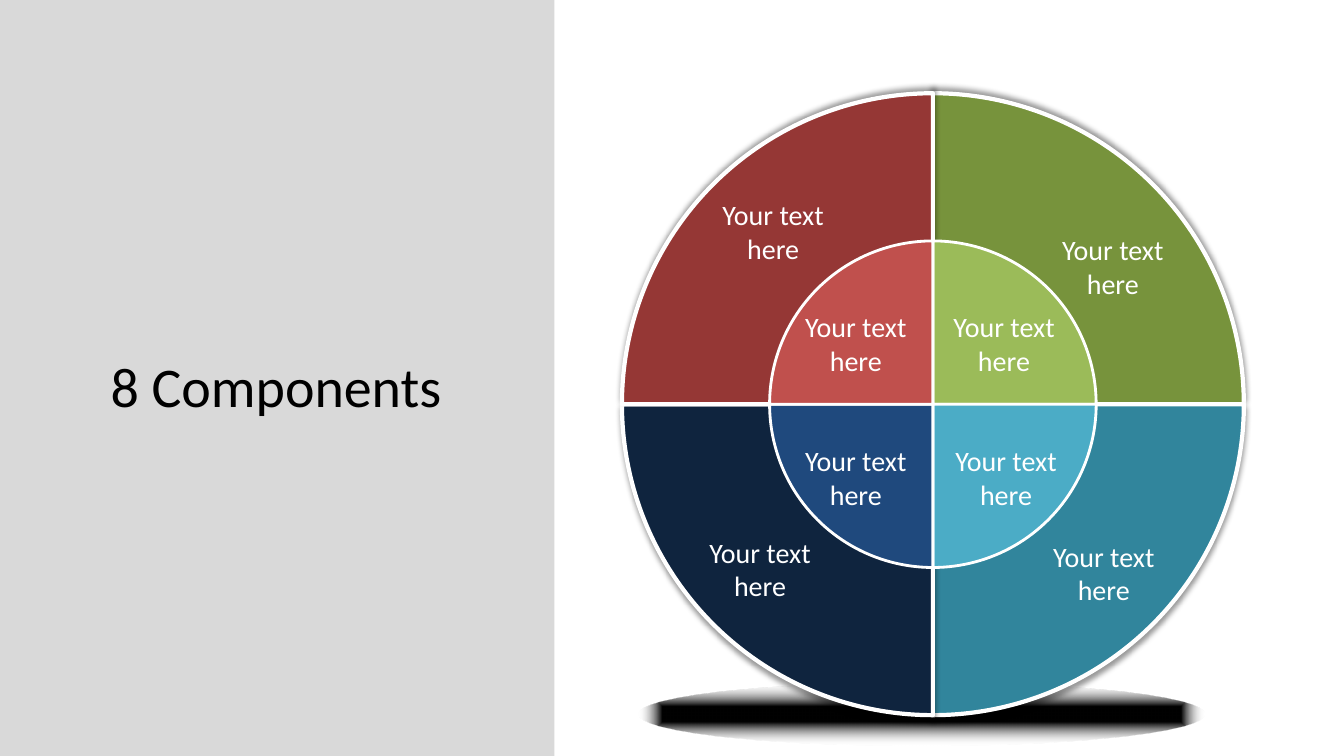
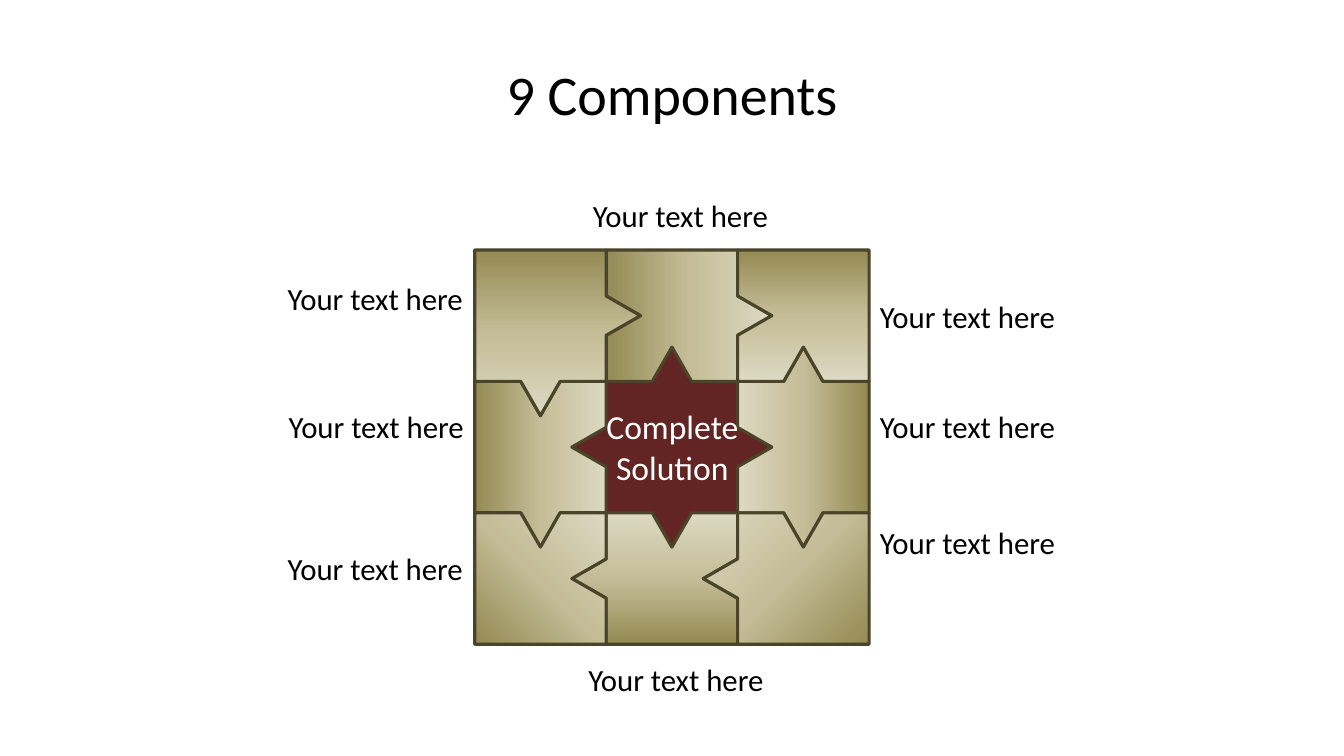
from lxml.etree import SubElement
from pptx import Presentation
from pptx.dml.color import RGBColor
from pptx.enum.shapes import MSO_SHAPE
from pptx.enum.text import MSO_ANCHOR, PP_ALIGN
from pptx.oxml import parse_xml
from pptx.oxml.ns import nsdecls, qn
from pptx.util import Inches, Pt

COLORS = {
    "white": "FFFFFF", "black": "000000", "panel": "D9D9D9",
    "dark red": "953735", "dark green": "77933C", "dark teal": "31859C", "dark navy": "0F243E",
    "red": "C0504D", "green": "9BBB59", "teal": "4BACC6", "navy": "1F497D",
    "center": "632523", "outline": "4A452A",
    "olive": "948A54", "tan": "C4BD97", "cream": "DDD9C3",
}
FONT = "Calibri"
LABEL = "Your text here"
ROWS = 75
COLUMNS = 133.33

presentation = Presentation()
presentation.slide_width = Inches(13.333)
presentation.slide_height = Inches(7.5)
unit = presentation.slide_height / ROWS
blank_layout = presentation.slide_layouts[6]


def add_text(slide, text, box, size, color="black", align=PP_ALIGN.LEFT, anchor=MSO_ANCHOR.TOP):
    frame = slide.shapes.add_textbox(*[round(length * unit) for length in box]).text_frame
    frame.word_wrap = True
    frame.vertical_anchor = anchor
    paragraph = frame.paragraphs[0]
    paragraph.alignment = align
    run = paragraph.add_run()
    run.text = text
    run.font.name = FONT
    run.font.size = Pt(size)
    run.font.color.rgb = RGBColor.from_string(COLORS[color])


def style_shape(shape, fill, line=None, width=0, direction=""):
    shape.shadow.inherit = False
    properties = shape.element.spPr
    if fill in COLORS:
        shape.fill.solid()
        shape.fill.fore_color.rgb = RGBColor.from_string(COLORS[fill])
    else:
        shape.fill.background()
        properties.replace(properties.find(qn("a:noFill")), parse_xml(fill))
    if line:
        shape.line.color.rgb = RGBColor.from_string(COLORS[line])
        shape.line.width = Pt(width)
    else:
        shape.line.fill.background()
    if direction:
        shadow = SubElement(properties.find(qn("a:effectLst")), qn("a:outerShdw"),
                            blurRad=str(Pt(4)), dist=str(Pt(3)), dir=direction,
                            algn="ctr", rotWithShape="0")
        color = SubElement(shadow, qn("a:srgbClr"), val=COLORS["black"])
        SubElement(color, qn("a:alpha"), val="40000")


wheel_slide = presentation.slides.add_slide(blank_layout)
floor_gradient = (
    f'<a:gradFill {nsdecls("a")} rotWithShape="1"><a:gsLst>'
    f'<a:gs pos="24000"><a:srgbClr val="{COLORS["black"]}"/></a:gs>'
    f'<a:gs pos="100000"><a:srgbClr val="{COLORS["white"]}"><a:alpha val="0"/></a:srgbClr></a:gs>'
    '</a:gsLst><a:path path="shape">'
    '<a:fillToRect l="50000" t="50000" r="50000" b="50000"/></a:path></a:gradFill>'
)
floor_box = [round(length * unit) for length in (63.4, 67.7, 56.1, 6.3)]
floor_shadow = wheel_slide.shapes.add_shape(MSO_SHAPE.OVAL, *floor_box)
style_shape(floor_shadow, floor_gradient)

center_x, center_y = 92.55, 40.1
up, down = "16200000", "5400000"
rings = [
    (30.85, 3, [
        ("dark green", 162, 0, up, (103.3, 22.6)),
        ("dark teal", 0, 54, down, (102.4, 53)),
        ("dark navy", 54, 108, down, (68.3, 52.6)),
        ("dark red", 108, 162, up, (69.6, 19.1)),
    ]),
    (16.2, 2, [
        ("green", 162, 0, "", (92.5, 30.2)),
        ("teal", 0, 54, "", (92.7, 43.5)),
        ("navy", 54, 108, "", (77.8, 43.5)),
        ("red", 108, 162, "", (77.8, 30.2)),
    ]),
]
for radius, line_width, sectors in rings:
    pie_box = [round(length * unit) for length in
               (center_x - radius, center_y - radius, 2 * radius, 2 * radius)]
    for color, start_angle, end_angle, direction, corner in sectors:
        sector = wheel_slide.shapes.add_shape(MSO_SHAPE.PIE, *pie_box)
        sector.adjustments[0] = start_angle
        sector.adjustments[1] = end_angle
        style_shape(sector, color, "white", line_width, direction)
        add_text(wheel_slide, LABEL, (*corner, 14.2, 7.5), 20, "white", PP_ALIGN.CENTER)

panel = wheel_slide.shapes.add_shape(MSO_SHAPE.RECTANGLE, 0, 0, round(55 * unit), presentation.slide_height)
style_shape(panel, "panel")
add_text(wheel_slide, "8 Components", (10, 32, 45, 12.5), 40, anchor=MSO_ANCHOR.MIDDLE)

puzzle_slide = presentation.slides.add_slide(blank_layout)
puzzle_left, puzzle_top, cell = 47.1, 24.8, 13.04
tab_depth, tab_half = 3.4, 1.95
row_seams = [(0, 0, 0), (1, -1, -1), (1, 1, 1), (0, 0, 0)]
column_seams = [(0, 1, 1, 0), (0, -1, 1, 0), (0, -1, -1, 0)]
pieces = [(1, 1, None), (2, 1, 270), (0, 1, 0), (1, 0, 0), (1, 2, 180),
          (2, 0, 315), (2, 2, 225), (0, 0, 90), (0, 2, 90)]

for row, column, angle in pieces:
    left = puzzle_left + column * cell
    top = puzzle_top + row * cell
    corners = [(left, top), (left + cell, top), (left + cell, top + cell), (left, top + cell)]
    bulges = [(0, row_seams[row][column]), (column_seams[row][column + 1], 0),
              (0, row_seams[row + 1][column]), (column_seams[row][column], 0)]
    points = []
    for side, (bulge_x, bulge_y) in enumerate(bulges):
        start_x, start_y = corners[side]
        end_x, end_y = corners[(side + 1) % 4]
        points.append((start_x, start_y))
        if bulge_x or bulge_y:
            middle_x, middle_y = (start_x + end_x) / 2, (start_y + end_y) / 2
            step_x = (end_x - start_x) / cell * tab_half
            step_y = (end_y - start_y) / cell * tab_half
            points += [(middle_x - step_x, middle_y - step_y),
                       (middle_x + bulge_x * tab_depth, middle_y + bulge_y * tab_depth),
                       (middle_x + step_x, middle_y + step_y)]
    outline = [(round(x * unit), round(y * unit)) for x, y in points]
    builder = puzzle_slide.shapes.build_freeform(*outline[0])
    builder.add_line_segments(outline[1:], close=True)
    piece = builder.convert_to_shape()
    if angle is None:
        style_shape(piece, "center", "center", 2.25)
    else:
        stops = "".join(
            f'<a:gs pos="{position}"><a:srgbClr val="{COLORS[name]}"/></a:gs>'
            for position, name in [(0, "olive"), (50000, "tan"), (100000, "cream")])
        gradient = (f'<a:gradFill {nsdecls("a")} rotWithShape="1"><a:gsLst>{stops}</a:gsLst>'
                    f'<a:lin ang="{angle * 60000}" scaled="0"/></a:gradFill>')
        style_shape(piece, gradient, "outline", 2.25)

add_text(puzzle_slide, "Complete Solution", (58.2, 39.8, 17, 9.1), 24, "white", PP_ALIGN.CENTER)
labels = [
    (44.6, 19, 45.8, PP_ALIGN.CENTER), (44.5, 65.1, 45.1, PP_ALIGN.CENTER),
    (15.4, 27.3, 31.5, PP_ALIGN.RIGHT), (15.4, 40, 31.6, PP_ALIGN.RIGHT),
    (15.4, 54, 31.5, PP_ALIGN.RIGHT),
    (86.3, 29, 28.3, PP_ALIGN.LEFT), (86.3, 40, 28.3, PP_ALIGN.LEFT),
    (86.3, 51.5, 28.3, PP_ALIGN.LEFT),
]
for left, top, width, align in labels:
    add_text(puzzle_slide, LABEL, (left, top, width, 4.7), 22, align=align)
add_text(puzzle_slide, "9 Components", (COLUMNS * 0.05, 3, COLUMNS * 0.9, 12.5), 40,
         align=PP_ALIGN.CENTER, anchor=MSO_ANCHOR.MIDDLE)

presentation.save("out.pptx")
